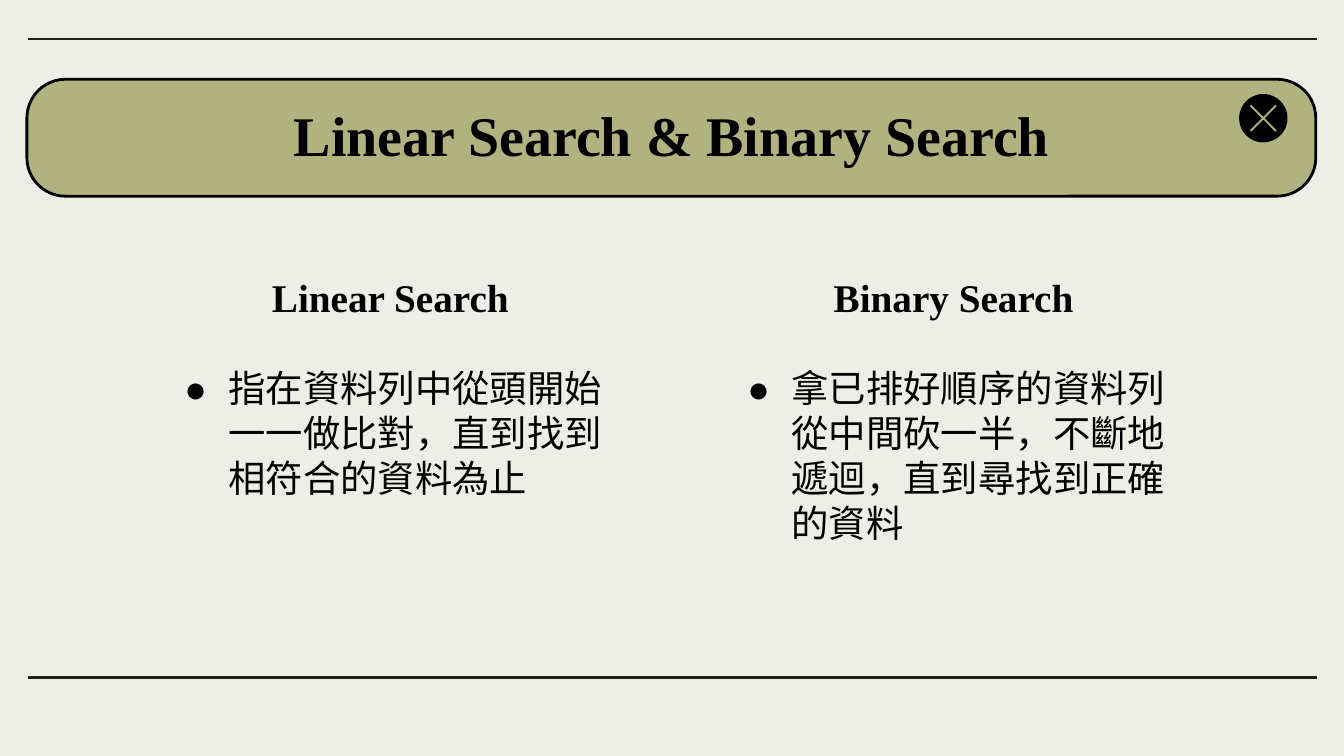
from lxml.etree import SubElement
from pptx import Presentation
from pptx.dml.color import RGBColor
from pptx.enum.shapes import MSO_CONNECTOR as Connector, MSO_SHAPE as Shape
from pptx.enum.text import MSO_ANCHOR as Anchor, PP_ALIGN as Align
from pptx.oxml.ns import qn
from pptx.util import Inches, Pt

INK = "000000"
RULE = "1B2119"
OLIVE = "B0B380"
CROSS = "ADAF7E"
PAPER = "EEEEE9"


def color(code):
    return RGBColor.from_string(code)


def add_bullet(para, symbol, font, margin, indent):
    props = para._p.get_or_add_pPr()
    props.set("marL", str(Inches(margin)))
    props.set("indent", str(Inches(indent)))
    tint = SubElement(props, qn("a:buClr"))
    SubElement(tint, qn("a:srgbClr")).set("val", INK)
    SubElement(props, qn("a:buFont")).set("typeface", font)
    SubElement(props, qn("a:buChar")).set("char", symbol)


def write(frame, text, *, size, font, bold=False, align=Align.LEFT,
          anchor=Anchor.TOP, spacing=None, bullet=None):
    frame.word_wrap = True
    frame.vertical_anchor = anchor
    frame.margin_left = frame.margin_right = Inches(0.1)
    frame.margin_top = frame.margin_bottom = Inches(0.1)
    para = frame.paragraphs[0]
    para.alignment = align
    if spacing:
        para.line_spacing = spacing
    if bullet:
        add_bullet(para, bullet, font, 0.5, -0.34)
    span = para.add_run()
    span.text = text
    span.font.size = Pt(size)
    span.font.name = font
    span.font.bold = bold
    span.font.color.rgb = color(INK)


class SlideBuilder:
    heading_font = "Times New Roman"
    body_font = "TeX Gyre Schola"
    line_width = Pt(1.5)

    def __init__(self, page):
        self.page = page
        page.background.fill.solid()
        page.background.fill.fore_color.rgb = color(PAPER)

    def paint(self, shape, fill, line=None):
        shape.shadow.inherit = False
        shape.fill.solid()
        shape.fill.fore_color.rgb = color(fill)
        if line:
            shape.line.color.rgb = color(line)
            shape.line.width = self.line_width
        else:
            shape.line.fill.background()

    def shape(self, kind, left, top, width, height, fill, line=None):
        shape = self.page.shapes.add_shape(
            kind, Inches(left), Inches(top), Inches(width), Inches(height))
        self.paint(shape, fill, line)
        return shape

    def rule(self, left, right, top):
        rule = self.page.shapes.add_connector(
            Connector.STRAIGHT, Inches(left), Inches(top), Inches(right), Inches(top))
        rule.line.color.rgb = color(RULE)
        rule.line.width = self.line_width
        SubElement(rule._element.spPr, qn("a:effectLst"))

    def cross(self, center_x, center_y):
        corners = [(-0.09, -0.1), (-0.1, -0.09), (-0.01, 0)]
        points = []
        for _ in range(4):
            points += [(Inches(center_x + x), Inches(center_y + y)) for x, y in corners]
            corners = [(y, -x) for x, y in corners]
        outline = self.page.shapes.build_freeform(*points[0])
        outline.add_line_segments(points[1:], close=True)
        self.paint(outline.convert_to_shape(), CROSS)

    def text(self, left, top, width, height, text, **style):
        box = self.page.shapes.add_textbox(
            Inches(left), Inches(top), Inches(width), Inches(height))
        write(box.text_frame, text, **style)

    def heading(self, left, top, width, height, text, **style):
        self.text(left, top, width, height, text, font=self.heading_font,
                  bold=True, align=Align.CENTER, **style)

    def column(self, left, title, body):
        self.heading(left, 1.86, 3.61, 0.62, title, size=21, anchor=Anchor.BOTTOM)
        self.text(left, 2.62, 3.61, 1.94, body, size=20, font=self.body_font, bullet="●")


def main():
    deck = Presentation()
    deck.slide_width = Inches(10)
    deck.slide_height = deck.slide_width * 9 // 16
    builder = SlideBuilder(deck.slides.add_slide(deck.slide_layouts[6]))

    banner = builder.shape(Shape.ROUNDED_RECTANGLE, 0.2, 0.59, 9.59, 0.87, OLIVE, INK)
    banner.adjustments[0] = 0.33
    for top in (5.04, 0.29):
        builder.rule(0.21, 9.8, top)

    builder.column(1.1, "Linear Search",
                   "指在資料列中從頭開始一一做比對，直到找到相符合的資料為止")
    builder.column(5.29, "Binary Search",
                   "拿已排好順序的資料列從中間砍一半，不斷地遞迴，直到尋找到正確的資料")

    builder.heading(0.78, 0.75, 8.44, 0.62, "Linear Search & Binary Search",
                    size=30, anchor=Anchor.MIDDLE, spacing=0.7)
    builder.shape(Shape.OVAL, 9.22, 0.7, 0.36, 0.36, INK)
    builder.cross(9.4, 0.88)
    deck.save("out.pptx")


if __name__ == "__main__":
    main()
